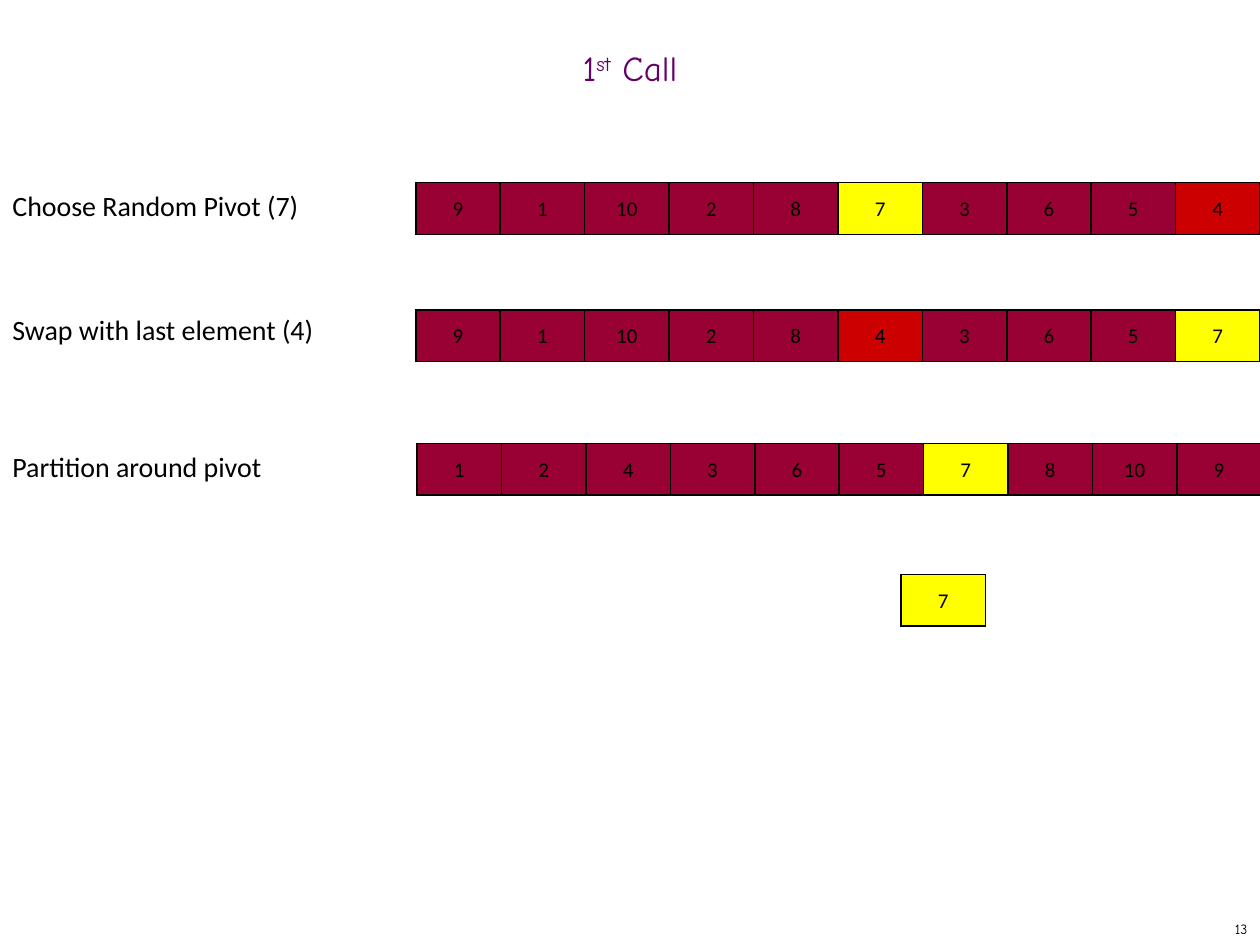
from lxml.etree import SubElement
from pptx import Presentation
from pptx.dml.color import RGBColor
from pptx.enum.text import MSO_ANCHOR, PP_ALIGN
from pptx.oxml.ns import qn
from pptx.util import Inches, Pt

BLACK = RGBColor(0, 0, 0)
PURPLE = RGBColor(0x66, 0x00, 0x66)
MAROON = RGBColor(0x99, 0x00, 0x33)
YELLOW = RGBColor(0xFF, 0xFF, 0x00)
RED = RGBColor(0xCC, 0x00, 0x00)
BODY_FONT = "Calibri"
HEADING_FONT = "Comic Neue"
CELL_WIDTH = 0.67
CELL_HEIGHT = 0.41
PIVOT = 7

STEPS = [
    ("Choose Random Pivot (7)", 1.45, 3.3, 1.45, [9, 1, 10, 2, 8, 7, 3, 6, 5, 4], 4),
    ("Swap with last element (4)", 2.43, 3.3, 2.46, [9, 1, 10, 2, 8, 4, 3, 6, 5, 7], 4),
    ("Partition around pivot", 3.52, 3.31, 3.52, [1, 2, 4, 3, 6, 5, 7, 8, 10, 9], None),
]


def add_span(para, text, size, font=BODY_FONT, color=BLACK):
    span = para.add_run()
    span.text = text
    span.font.size = Pt(size)
    span.font.name = font
    span.font.color.rgb = color
    return span


def add_text_box(page, left, top, width, height, anchor=MSO_ANCHOR.TOP,
                 align=PP_ALIGN.LEFT):
    box = page.shapes.add_textbox(Inches(left), Inches(top), Inches(width), Inches(height))
    frame = box.text_frame
    frame.word_wrap = True
    frame.vertical_anchor = anchor
    para = frame.paragraphs[0]
    para.alignment = align
    return para


def add_title(page):
    para = add_text_box(page, 0, 0.33, 10, 0.5, MSO_ANCHOR.MIDDLE, PP_ALIGN.CENTER)
    para.line_spacing = 0.7
    for text in ("1", "st", " Call"):
        span = add_span(para, text, 20, HEADING_FONT, PURPLE)
        if text == "st":
            span.font._element.set("baseline", "30000")


def add_borders(cell):
    properties = cell._tc.get_or_add_tcPr()
    for index, side in enumerate(("lnL", "lnR", "lnT", "lnB")):
        line = properties.makeelement(qn(f"a:{side}"), {"w": str(Pt(1))})
        properties.insert(index, line)
        fill = SubElement(line, qn("a:solidFill"))
        SubElement(fill, qn("a:srgbClr"), val=str(BLACK))


def add_number(page, left, top, number, color):
    table = page.shapes.add_table(1, 1, Inches(left), Inches(top),
                                  Inches(CELL_WIDTH), Inches(CELL_HEIGHT)).table
    cell = table.cell(0, 0)
    cell.fill.solid()
    cell.fill.fore_color.rgb = color
    cell.margin_left = cell.margin_right = cell.margin_top = Inches(0.01)
    cell.margin_bottom = 0
    cell.vertical_anchor = MSO_ANCHOR.MIDDLE
    para = cell.text_frame.paragraphs[0]
    para.alignment = PP_ALIGN.CENTER
    add_span(para, str(number), 12)
    add_borders(cell)


def add_array(page, left, top, numbers, swapped):
    colors = {PIVOT: YELLOW, swapped: RED}
    for index, number in enumerate(numbers):
        add_number(page, left + index * CELL_WIDTH, top, number,
                   colors.get(number, MAROON))


def main():
    deck = Presentation()
    deck.slide_width = Inches(10)
    deck.slide_height = Inches(7.5)
    page = deck.slides.add_slide(deck.slide_layouts[6])
    add_title(page)
    for label, label_top, left, top, numbers, swapped in STEPS:
        add_array(page, left, top, numbers, swapped)
        add_span(add_text_box(page, 0, label_top, 2.62, 0.37), label, 16)
    add_number(page, 7.15, 4.56, PIVOT, YELLOW)
    page_number = add_text_box(page, 7.92, 7.25, 2.08, 0.25,
                               MSO_ANCHOR.MIDDLE, PP_ALIGN.RIGHT)
    add_span(page_number, "13", 8, HEADING_FONT)
    deck.save("out.pptx")


if __name__ == "__main__":
    main()
